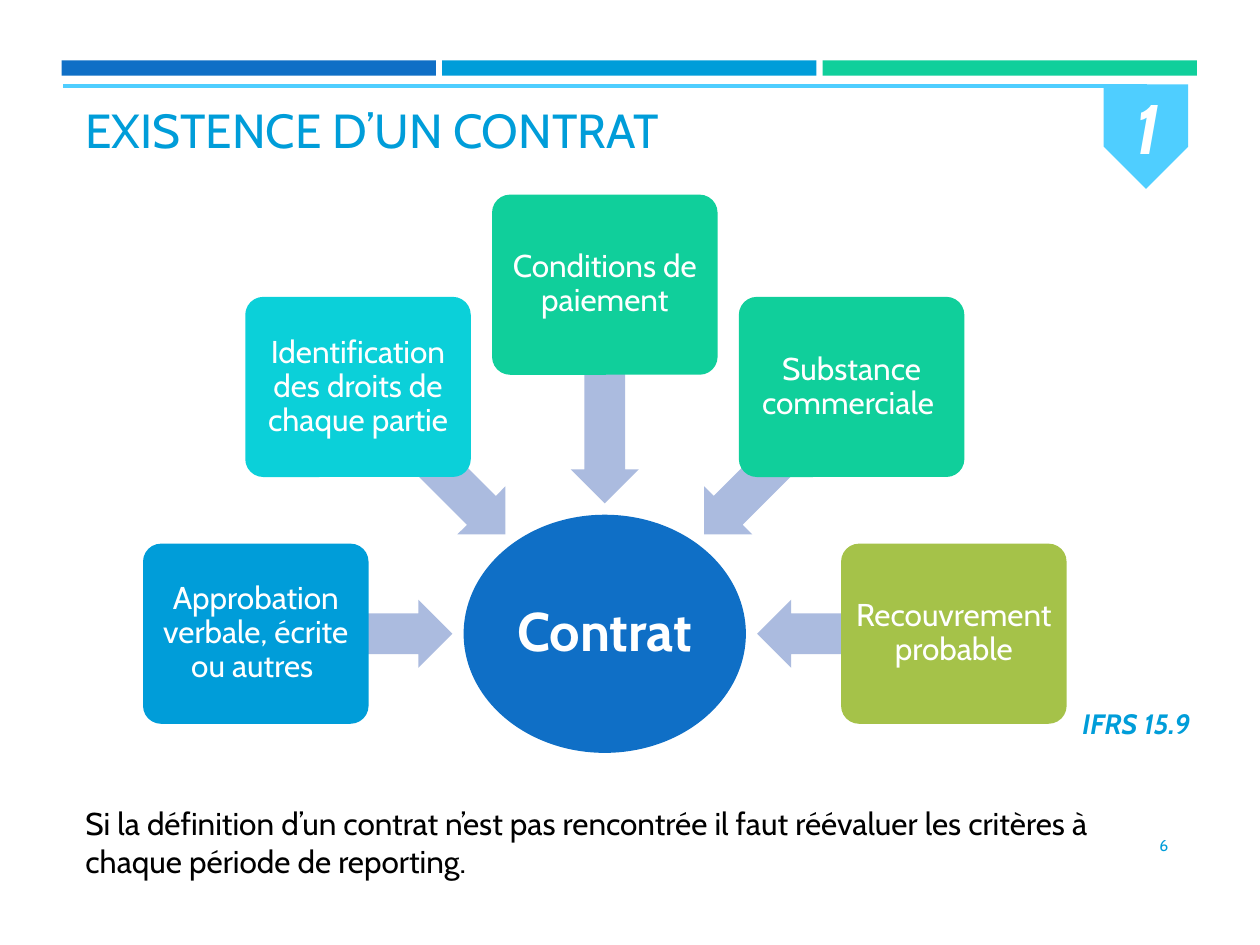
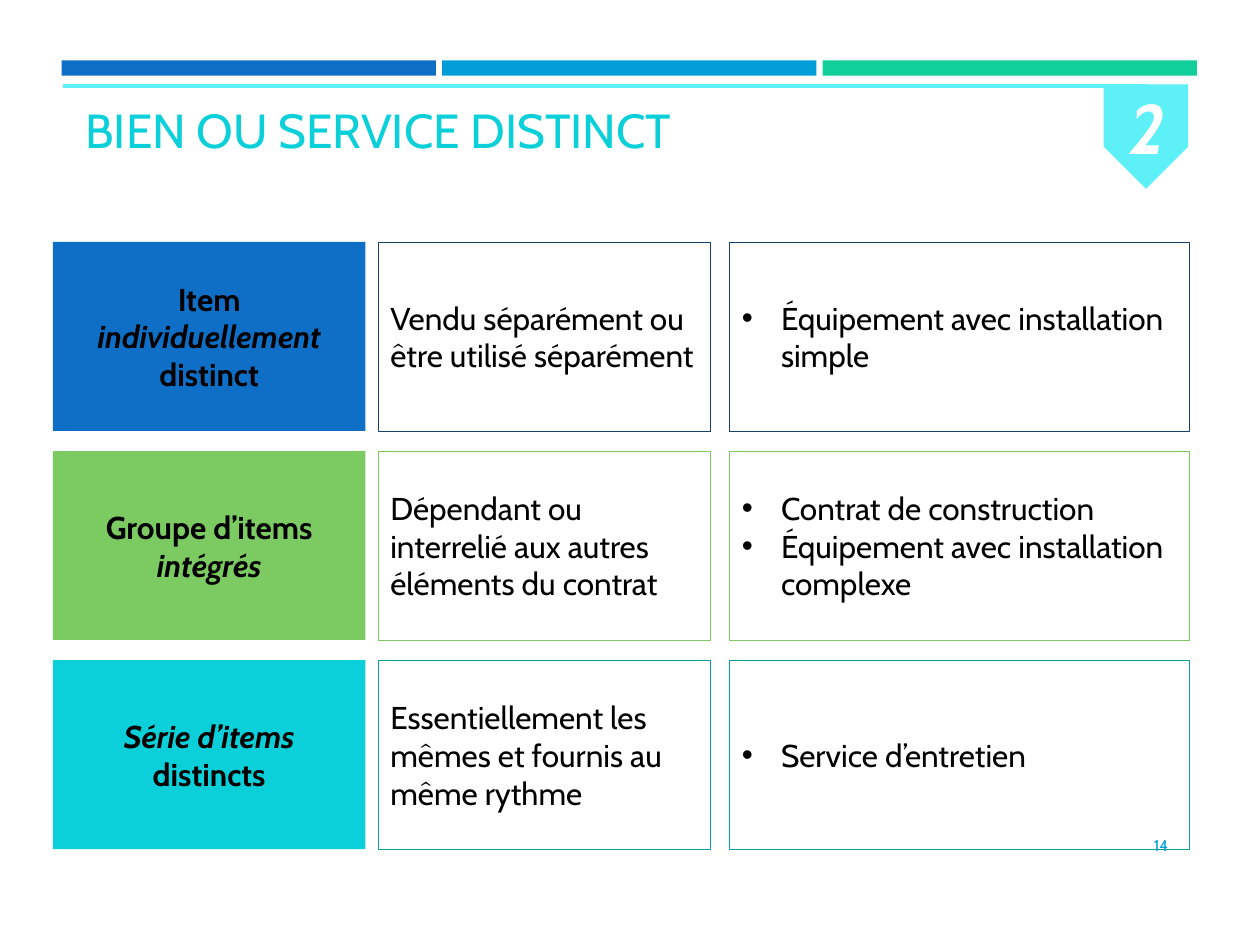
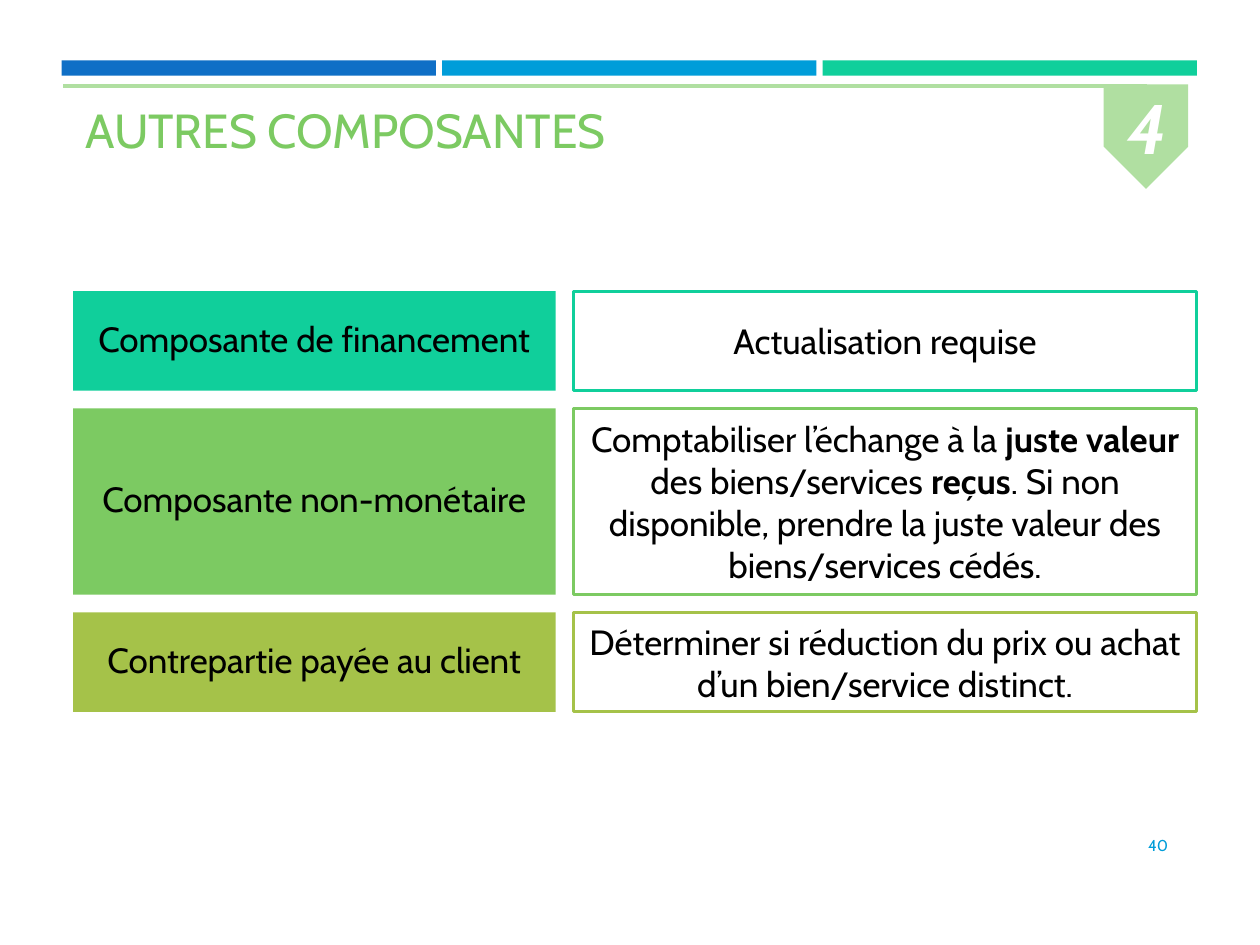
from dataclasses import dataclass
from math import cos, radians, sin

from lxml import etree
from pptx import Presentation
from pptx.dml.color import RGBColor
from pptx.enum.shapes import MSO_CONNECTOR as Connector, MSO_SHAPE as Shape
from pptx.enum.text import MSO_ANCHOR as Anchor, PP_ALIGN as Align
from pptx.oxml.ns import qn
from pptx.util import Inches, Pt

# Shared look
FONT = "Cabin"
BLUE = RGBColor(0x0F, 0x6F, 0xC6)
SKY = RGBColor(0x00, 0x9D, 0xD9)
MINT = RGBColor(0x10, 0xCF, 0x9B)
TURQUOISE = RGBColor(0x0B, 0xD0, 0xD9)
GREEN = RGBColor(0x7C, 0xCA, 0x62)
OLIVE = RGBColor(0xA5, 0xC2, 0x49)
LIGHT_SKY = RGBColor(0x4F, 0xCE, 0xFF)
LIGHT_TURQUOISE = RGBColor(0x5E, 0xF0, 0xF7)
LIGHT_GREEN = RGBColor(0xB0, 0xDF, 0xA1)
NAVY = RGBColor(0x17, 0x40, 0x6D)
TEAL = RGBColor(0x08, 0x9C, 0xA3)
LAVENDER = RGBColor(0xAB, 0xBB, 0xDF)
BLACK = RGBColor(0x00, 0x00, 0x00)
WHITE = RGBColor(0xFF, 0xFF, 0xFF)


@dataclass(frozen=True)
class Area:
    left: float
    top: float
    width: float
    height: float

    def lengths(self) -> list:
        return [Inches(n) for n in (self.left, self.top, self.width, self.height)]


@dataclass(frozen=True)
class Span:
    text: str
    bold: bool = False
    italic: bool = False


@dataclass(frozen=True)
class TextStyle:
    size: float = 18
    color: RGBColor = BLACK
    align: Align = Align.LEFT
    anchor: Anchor = Anchor.MIDDLE
    inset_x: float = 0.1
    inset_y: float = 0.05
    spacing: float | None = None
    bullet: bool = False


@dataclass(frozen=True)
class Theme:
    title: str
    number: str
    page_number: str
    color: RGBColor
    light: RGBColor


@dataclass(frozen=True)
class Criterion:
    text: str
    angle: int
    color: RGBColor
    arrow_radius: float
    arrow_length: float


@dataclass(frozen=True)
class ItemRow:
    name: list[Span]
    meaning: str
    examples: list[str]
    fill: RGBColor
    outline: RGBColor


@dataclass(frozen=True)
class Component:
    name: str
    treatment: list[Span]
    color: RGBColor
    height: float


# Drawing helpers
def add_bullet(para) -> None:
    properties = para._p.get_or_add_pPr()
    properties.set("marL", str(Inches(0.31)))
    properties.set("indent", str(-Inches(0.31)))
    etree.SubElement(properties, qn("a:buFont")).set("typeface", "Arial")
    etree.SubElement(properties, qn("a:buChar")).set("char", "•")


def write(box, paragraphs: list[list[Span]], style: TextStyle) -> None:
    frame = box.text_frame
    frame.word_wrap = True
    frame.vertical_anchor = style.anchor
    frame.margin_left = frame.margin_right = Inches(style.inset_x)
    frame.margin_top = frame.margin_bottom = Inches(style.inset_y)
    for index, spans in enumerate(paragraphs):
        para = frame.add_paragraph() if index else frame.paragraphs[0]
        if style.bullet:
            add_bullet(para)
        para.alignment = style.align
        if style.spacing:
            para.line_spacing = style.spacing
        for span in spans:
            run = para.add_run()
            run.text = span.text
            font = run.font
            font.name, font.size = FONT, Pt(style.size)
            font.bold, font.italic = span.bold, span.italic
            font.color.rgb = style.color


def add_text(page, area: Area, span: Span, style: TextStyle) -> None:
    write(page.shapes.add_textbox(*area.lengths()), [[span]], style)


def add_box(page, kind: Shape, area: Area, fill: RGBColor | None = None,
            outline: RGBColor | None = None, weight: float = 1):
    box = page.shapes.add_shape(kind, *area.lengths())
    box.shadow.inherit = False
    if fill is None:
        box.fill.background()
    else:
        box.fill.solid()
        box.fill.fore_color.rgb = fill
    if outline is None:
        box.line.fill.background()
    else:
        box.line.color.rgb = outline
        box.line.width = Pt(weight)
    return box


def add_page(deck, theme: Theme):
    """Add a page with its bands, title, numbered badge and page number."""
    page = deck.slides.add_slide(deck.slide_layouts[6])
    for index, color in enumerate((BLUE, SKY, MINT)):
        add_box(page, Shape.RECTANGLE, Area(0.49 + index * 3.02, 0.48, 2.97, 0.12), color)
    add_text(page, Area(0.58, 0.75, 8.05, 0.75), Span(theme.title),
             TextStyle(27.3, theme.color, anchor=Anchor.TOP))

    badge = add_box(page, Shape.PENTAGON, Area(8.68, 0.75, 0.83, 0.67), theme.light)
    badge.rotation = 90
    add_text(page, Area(8.77, 0.67, 0.67, 0.67), Span(theme.number, True, True),
             TextStyle(40, WHITE, Align.CENTER, Anchor.TOP, 0, 0))

    rule = page.shapes.add_connector(
        Connector.STRAIGHT, Inches(0.5), Inches(0.68), Inches(9.1), Inches(0.68))
    rule.line.color.rgb = theme.light
    rule.line.width = Pt(2.25)
    etree.SubElement(rule._element.spPr, qn("a:effectLst"))

    add_text(page, Area(8.53, 6.51, 0.84, 0.4), Span(theme.page_number),
             TextStyle(9, SKY, Align.RIGHT))
    return page


# Contract: criteria placed around a hub
HUB_X, HUB_Y = 4.8, 5.03
CRITERION_RADIUS = 2.77
CRITERIA = [
    Criterion("Approbation verbale, écrite ou autres ", 180, SKY, 1.99, 1.56),
    Criterion("Identification des droits de chaque partie", 225, TURQUOISE, 1.94, 1.65),
    Criterion("Conditions de paiement", 270, MINT, 1.9, 1.73),
    Criterion("Substance commerciale ", 315, MINT, 1.94, 1.65),
    Criterion("Recouvrement probable", 360, OLIVE, 1.99, 1.56),
]


def around_hub(angle: int, radius: float, width: float, height: float) -> Area:
    center_x = HUB_X + radius * cos(radians(angle))
    center_y = HUB_Y + radius * sin(radians(angle))
    return Area(center_x - width / 2, center_y - height / 2, width, height)


def add_contract_page(deck) -> None:
    page = add_page(deck, Theme("EXISTENCE D’UN CONTRAT", "1", "6", SKY, LIGHT_SKY))
    hub = add_box(page, Shape.OVAL, around_hub(0, 0, 2.24, 1.89), BLUE)
    write(hub, [[Span("Contrat", bold=True)]],
          TextStyle(31, WHITE, Align.CENTER, inset_x=0.02, inset_y=0.02, spacing=0.9))

    label = TextStyle(18, WHITE, Align.CENTER, inset_x=0.04, inset_y=0.04, spacing=0.9)
    for item in CRITERIA:
        arrow = add_box(page, Shape.LEFT_ARROW, around_hub(
            item.angle, item.arrow_radius, item.arrow_length, 0.54), LAVENDER)
        arrow.adjustments[0], arrow.adjustments[1] = 0.6, 0.5
        arrow.rotation = item.angle % 360
        box = add_box(page, Shape.ROUNDED_RECTANGLE, around_hub(
            item.angle, CRITERION_RADIUS, 1.79, 1.43), item.color)
        box.adjustments[0] = 0.1
        write(box, [[Span(item.text)]], label)

    add_text(page, Area(8.35, 5.53, 1.34, 0.42), Span("IFRS 15.9", True, True),
             TextStyle(16, SKY, Align.CENTER))
    add_text(page, Area(0.58, 6.33, 8.4, 0.71),
             Span("Si la définition d’un contrat n’est pas rencontrée il faut réévaluer "
                  "les critères à chaque période de reporting."),
             TextStyle(anchor=Anchor.TOP))


# Distinct items: three columns by three rows
ITEM_ROWS = [
    ItemRow([Span("Item ", True), Span("individuellement ", True, True),
             Span("distinct", True)],
            "Vendu séparément ou être utilisé séparément",
            ["Équipement avec installation simple"], BLUE, NAVY),
    ItemRow([Span("Groupe d’items ", True), Span("intégrés", True, True)],
            "Dépendant ou interrelié aux autres éléments du contrat",
            ["Contrat de construction", "Équipement avec installation complexe"],
            GREEN, GREEN),
    ItemRow([Span("Série d’items ", True, True), Span("distincts", True)],
            "Essentiellement les mêmes et fournis au même rythme",
            ["Service d’entretien"], TURQUOISE, TEAL),
]


def add_items_page(deck) -> None:
    page = add_page(deck, Theme("BIEN OU SERVICE DISTINCT", "2", "14",
                                TURQUOISE, LIGHT_TURQUOISE))
    for index, row in enumerate(ITEM_ROWS):
        top, height = 1.92 + index * 1.66, 1.5
        name = add_box(page, Shape.RECTANGLE, Area(0.42, top, 2.48, height), row.fill)
        write(name, [row.name], TextStyle(align=Align.CENTER))
        meaning = add_box(page, Shape.RECTANGLE, Area(3, top, 2.64, height),
                          outline=row.outline, weight=0.25)
        write(meaning, [[Span(row.meaning)]], TextStyle())
        examples = add_box(page, Shape.RECTANGLE, Area(5.79, top, 3.65, height),
                           outline=row.outline, weight=0.25)
        write(examples, [[Span(text)] for text in row.examples], TextStyle(bullet=True))


# Other components: a name and its treatment on each row
COMPONENTS = [
    Component("Composante de financement", [Span("Actualisation requise")], MINT, 0.79),
    Component("Composante non-monétaire",
              [Span("Comptabiliser l’échange à la "), Span("juste valeur ", True),
               Span("des biens/services "), Span("reçus", True),
               Span(". Si non disponible, prendre la juste valeur des "
                    "biens/services cédés.")], GREEN, 1.48),
    Component("Contrepartie payée au client",
              [Span("Déterminer si réduction du prix ou achat d’un bien/service "
                    "distinct.")], OLIVE, 0.79),
]


def add_components_page(deck) -> None:
    page = add_page(deck, Theme("AUTRES COMPOSANTES", "4", "40", GREEN, LIGHT_GREEN))
    top, gap = 2.31, 0.14
    for item in COMPONENTS:
        name = add_box(page, Shape.RECTANGLE, Area(0.58, top, 3.83, item.height), item.color)
        write(name, [[Span(item.name)]],
              TextStyle(20, align=Align.CENTER, inset_x=0.08, inset_y=0.08, spacing=0.9))
        treatment = add_box(page, Shape.RECTANGLE, Area(4.55, top, 4.95, item.height),
                            WHITE, item.color, 1.75)
        write(treatment, [item.treatment], TextStyle(20, align=Align.CENTER))
        top += item.height + gap


def main() -> None:
    deck = Presentation()
    deck.slide_width, deck.slide_height = Inches(10), Inches(7.5)
    add_contract_page(deck)
    add_items_page(deck)
    add_components_page(deck)
    deck.save("out.pptx")


if __name__ == "__main__":
    main()
